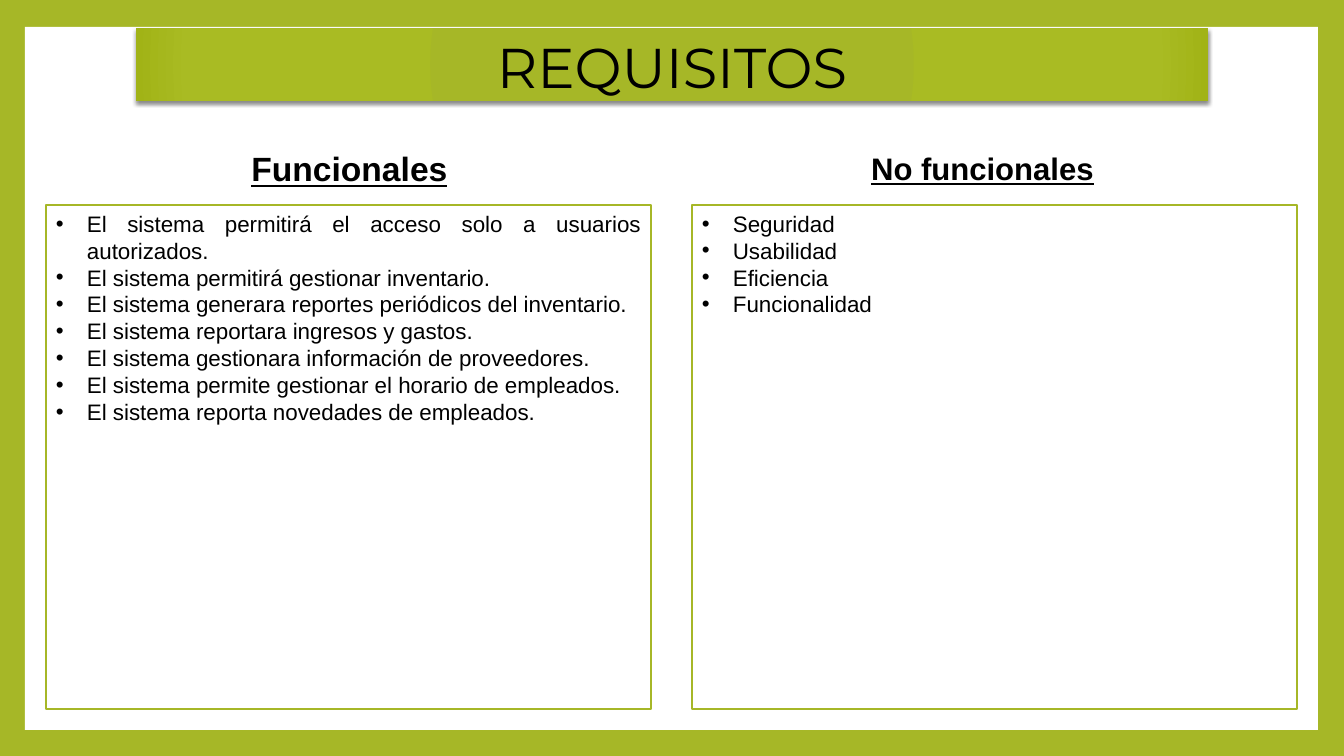
from lxml.etree import SubElement
from pptx import Presentation
from pptx.dml.color import RGBColor
from pptx.enum.shapes import MSO_SHAPE
from pptx.enum.text import MSO_ANCHOR, PP_ALIGN
from pptx.oxml import parse_xml
from pptx.oxml.ns import nsdecls, qn
from pptx.util import Pt

PX = 12192000 / 1344
COLORS = {"olive": "A6B727", "light": "A9BB23", "dark": "A1B316",
          "white": "FFFFFF", "black": "000000"}
FUNCTIONAL = [
    "El sistema permitirá el acceso solo a usuarios autorizados.",
    "El sistema permitirá gestionar inventario.",
    "El sistema generara reportes periódicos del inventario.",
    "El sistema reportara ingresos y gastos.",
    "El sistema gestionara información de proveedores.",
    "El sistema permite gestionar el horario de empleados.",
    "El sistema reporta novedades de empleados.",
]
NON_FUNCTIONAL = ["Seguridad", "Usabilidad", "Eficiencia", "Funcionalidad"]


def px(n):
    """Turn px into EMU."""
    return round(n * PX)


def rgb(name):
    """Look up a colour by name."""
    return RGBColor.from_string(COLORS[name])


def add_rect(slide, box, fill=None, line=None):
    """Add a rectangle without shadow."""
    sp = slide.shapes.add_shape(MSO_SHAPE.RECTANGLE, *map(px, box))
    sp.shadow.inherit = False
    if fill:
        sp.fill.solid()
        sp.fill.fore_color.rgb = rgb(fill)
    if line:
        sp.line.color.rgb = rgb(line)
        sp.line.width = Pt(1.5)
    else:
        sp.line.fill.background()
    return sp


def write(p, text, align, **font):
    """Write one black run with the given font values."""
    p.alignment = align
    r = p.add_run()
    r.text = text
    r.font.color.rgb = rgb("black")
    for key, value in font.items():
        setattr(r.font, key, value)


def add_bullet(p):
    """Give a paragraph a hanging round bullet."""
    pPr = p._p.get_or_add_pPr()
    pPr.set("marL", str(px(31)))
    pPr.set("indent", str(px(-31)))
    SubElement(pPr, qn("a:buFont"), typeface="Arial")
    SubElement(pPr, qn("a:buChar"), char="•")


def add_banner(slide, box, text):
    """Add the title band with its gradient and shadow."""
    sp = add_rect(slide, box)
    stops = "".join(
        f'<a:gs pos="{pos}000"><a:srgbClr val="{COLORS[name]}"/></a:gs>'
        for pos, name in ((0, "olive"), (90, "light"), (100, "dark")))
    grad = parse_xml(
        f'<a:gradFill {nsdecls("a")} rotWithShape="1"><a:gsLst>{stops}</a:gsLst>'
        '<a:path path="circle"><a:fillToRect l="100000" t="100000" r="100000" '
        'b="100000"/></a:path></a:gradFill>')
    shadow = parse_xml(
        f'<a:outerShdw {nsdecls("a")} blurRad="{Pt(3)}" dist="{Pt(2)}" '
        f'dir="5400000" rotWithShape="0"><a:srgbClr val="{COLORS["black"]}">'
        '<a:alpha val="45000"/></a:srgbClr></a:outerShdw>')
    spPr = sp._element.spPr
    spPr.find(qn("a:prstGeom")).addnext(grad)
    spPr.find(qn("a:effectLst")).append(shadow)
    tf = sp.text_frame
    tf.vertical_anchor = MSO_ANCHOR.TOP
    write(tf.paragraphs[0], text, PP_ALIGN.CENTER, name="Montserrat", size=Pt(40))


def add_heading(slide, box, text, size):
    """Add an underlined column heading."""
    tf = slide.shapes.add_textbox(*map(px, box)).text_frame
    frame = {"word_wrap": True, "vertical_anchor": MSO_ANCHOR.MIDDLE,
             "margin_left": px(5), "margin_right": px(5),
             "margin_top": 0, "margin_bottom": 0}
    for key, value in frame.items():
        setattr(tf, key, value)
    write(tf.paragraphs[0], text, PP_ALIGN.CENTER, name="Arial", size=Pt(size),
          bold=True, underline=True)


def add_column(slide, box, heading, heading_x, heading_w, size, items, align):
    """Add a heading and the bulleted panel under it."""
    x, y, w, h = box
    heading_h = 73
    add_heading(slide, (x + heading_x, y, heading_w, heading_h), heading, size)
    panel = (x, y + heading_h, w, h - heading_h)
    tf = add_rect(slide, panel, "white", "olive").text_frame
    tf.vertical_anchor = MSO_ANCHOR.TOP
    for i, item in enumerate(items):
        p = tf.add_paragraph() if i else tf.paragraphs[0]
        write(p, item, align, name="Arial", size=Pt(16))
        add_bullet(p)


def add_requirements(prs):
    """Build the requirements slide."""
    slide = prs.slides.add_slide(prs.slide_layouts[6])
    slide.background.fill.solid()
    slide.background.fill.fore_color.rgb = rgb("olive")
    add_rect(slide, (25, 27, 1293, 703), "white")
    add_banner(slide, (136, 28, 1072, 73), "REQUISITOS")
    add_column(slide, (46, 132, 605, 577), "Funcionales", 198, 211, 24,
               FUNCTIONAL, PP_ALIGN.JUSTIFY)
    add_column(slide, (692, 132, 605, 577), "No funcionales", 173, 235, 22.2,
               NON_FUNCTIONAL, PP_ALIGN.LEFT)


def main():
    """Make and save the presentation."""
    prs = Presentation()
    prs.slide_width, prs.slide_height = px(1344), px(756)
    add_requirements(prs)
    prs.save("out.pptx")


if __name__ == "__main__":
    main()
